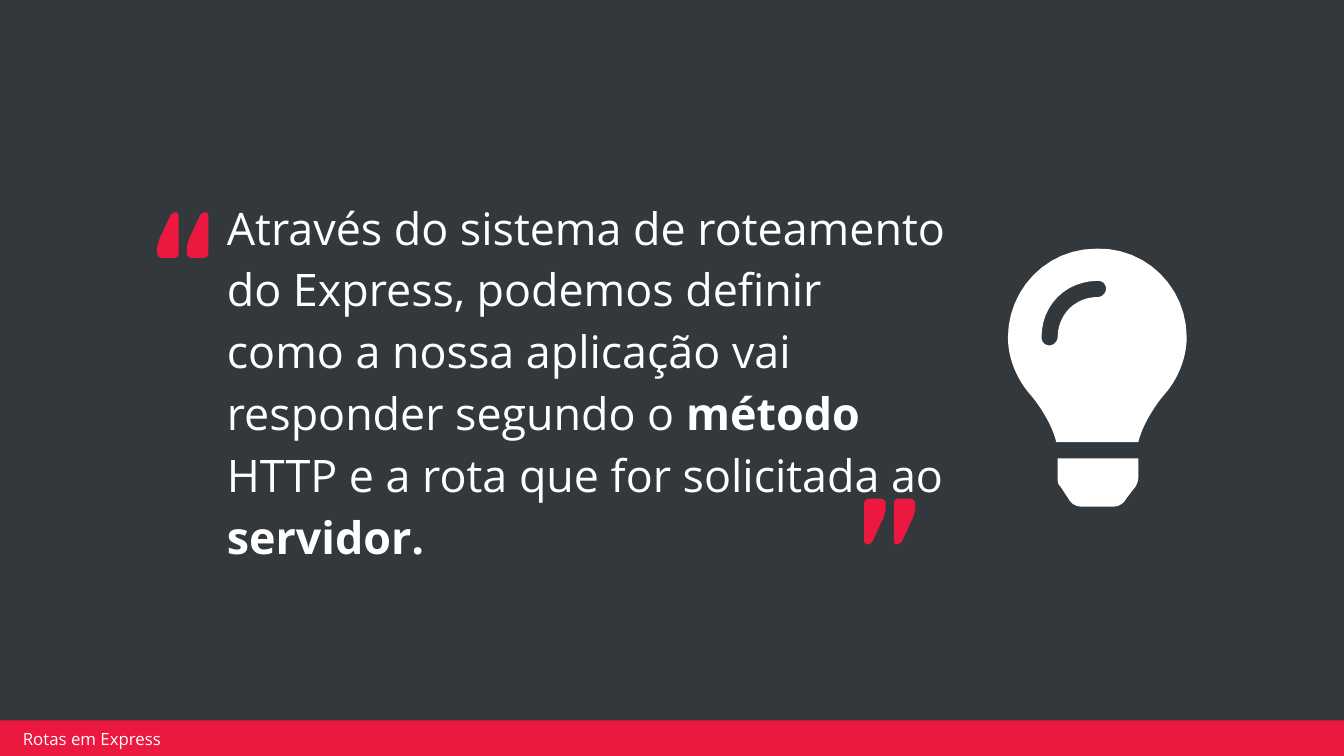
from pptx import Presentation
from pptx.dml.color import RGBColor
from pptx.enum import shapes, text
from pptx.util import Inches, Pt

COLORS = {"bg": "33383C", "red": "EC183F", "white": "FFFFFF"}
FONT = "Open Sans"


def add_outline(parent, contours, color):
    """Fill closed contours of (x, y) points in inches as one freeform."""
    fb = None
    for contour in contours:
        pts = [(Inches(x), Inches(y)) for x, y in contour]
        if fb is None:
            fb = parent.build_freeform(*pts[0])
        else:
            fb.move_to(*pts[0])
        fb.add_line_segments(pts[1:], close=True)
    s = fb.convert_to_shape()
    s.shadow.inherit = False
    s.fill.solid()
    s.fill.fore_color.rgb = RGBColor.from_string(COLORS[color])
    s.line.fill.background()
    return s


def add_text(box, runs, size, margins):
    """Add a text box of (words, bold) runs and return its paragraph."""
    tf = slide.shapes.add_textbox(*map(Inches, box)).text_frame
    x, y = map(Inches, margins)
    frame = {"word_wrap": True, "vertical_anchor": text.MSO_ANCHOR.MIDDLE,
             "margin_left": x, "margin_right": x,
             "margin_top": y, "margin_bottom": y}
    for name, value in frame.items():
        setattr(tf, name, value)
    p = tf.paragraphs[0]
    for words, bold in runs:
        r = p.add_run()
        r.text = words
        for name, value in {"name": FONT, "size": Pt(size), "bold": bold}.items():
            setattr(r.font, name, value)
        r.font.color.rgb = RGBColor.from_string(COLORS["white"])
    return p


prs = Presentation()
prs.slide_width, prs.slide_height = Inches(10), Inches(5.625)
slide = prs.slides.add_slide(prs.slide_layouts[6])
slide.background.fill.solid()
slide.background.fill.fore_color.rgb = RGBColor.from_string(COLORS["bg"])

# Footer bar
bar = slide.shapes.add_shape(shapes.MSO_SHAPE.RECTANGLE, Inches(-0.02),
                             Inches(5.36), Inches(10.03), Inches(0.27))
bar.shadow.inherit = False
bar.fill.solid()
bar.fill.fore_color.rgb = RGBColor.from_string(COLORS["red"])
bar.line.fill.background()
add_text((0.12, 5.42, 2.39, 0.15), [("Rotas em Express", False)], 9, (0.05, 0.02))

# Quotation
p = add_text((1.59, 1.7, 5.57, 2.22), [
    ("Através do sistema de roteamento do Express, podemos definir como a nossa "
     "aplicação vai responder segundo o ", False),
    ("método", True),
    (" HTTP e a rota que for solicitada ao ", False),
    ("servidor.", True),
], 24, (0.1, 0.05))
p.line_spacing = 1.15
p.space_before = Pt(6)

# Light bulb: each contour is a start point, then lines (2 values) or curves (6)
BULB = [
    # Base
    [(7.87, 3.55), (7.87, 3.58, 7.87, 3.6, 7.89, 3.62), (7.95, 3.71),
     (7.97, 3.75, 8.01, 3.77, 8.05, 3.77), (8.28, 3.77),
     (8.32, 3.77, 8.36, 3.75, 8.38, 3.71), (8.45, 3.62),
     (8.46, 3.6, 8.47, 3.58, 8.47, 3.55), (8.47, 3.41), (7.87, 3.41)],
    # Glass
    [(7.5, 2.51), (7.5, 2.67, 7.57, 2.83, 7.67, 2.94),
     (7.73, 3.01, 7.83, 3.16, 7.86, 3.29), (8.47, 3.29),
     (8.5, 3.16, 8.6, 3.01, 8.66, 2.94), (8.76, 2.83, 8.83, 2.67, 8.83, 2.51),
     (8.83, 2.14, 8.53, 1.84, 8.16, 1.85), (7.78, 1.85, 7.5, 2.16, 7.5, 2.51)],
    # Highlight, cut out of the glass
    [(8.17, 2.21), (8, 2.21, 7.87, 2.34, 7.87, 2.51),
     (7.87, 2.54, 7.84, 2.57, 7.81, 2.57), (7.77, 2.57, 7.75, 2.54, 7.75, 2.51),
     (7.75, 2.27, 7.93, 2.09, 8.17, 2.09), (8.2, 2.09, 8.23, 2.11, 8.23, 2.15),
     (8.23, 2.18, 8.2, 2.21, 8.17, 2.21)],
]
STEPS = 12
contours = []
for start, *segments in BULB:
    pts = [start]
    for seg in segments:
        if len(seg) == 2:
            pts.append(seg)
            continue
        curve = (pts[-1], seg[:2], seg[2:4], seg[4:])
        for i in range(1, STEPS + 1):
            t = i / STEPS
            weights = ((1 - t) ** 3, 3 * t * (1 - t) ** 2, 3 * t * t * (1 - t), t ** 3)
            pts.append(tuple(sum(w * c[axis] for w, c in zip(weights, curve))
                             for axis in (0, 1)))
    contours.append(pts)
add_outline(slide.shapes, contours, "white")

# Quote marks: the closing pair is the opening pair turned half round
MARK = [(0.13, 0), (0.11, 0.01), (0.1, 0.02), (0.04, 0.15), (0.02, 0.19),
        (0.01, 0.22), (0, 0.26), (0, 0.31), (0.01, 0.33), (0.03, 0.34),
        (0.13, 0.34), (0.15, 0.33), (0.16, 0.31), (0.16, 0.02), (0.15, 0), (0.14, 0)]
for left, top, rotation in [(1.17, 1.58, 0), (6.43, 3.71, 180)]:
    group = slide.shapes.add_group_shape()
    for x in (left, left + 0.22):
        s = add_outline(group.shapes, [[(x + dx, top + dy) for dx, dy in MARK]], "red")
        s.rotation = rotation

prs.save("out.pptx")
